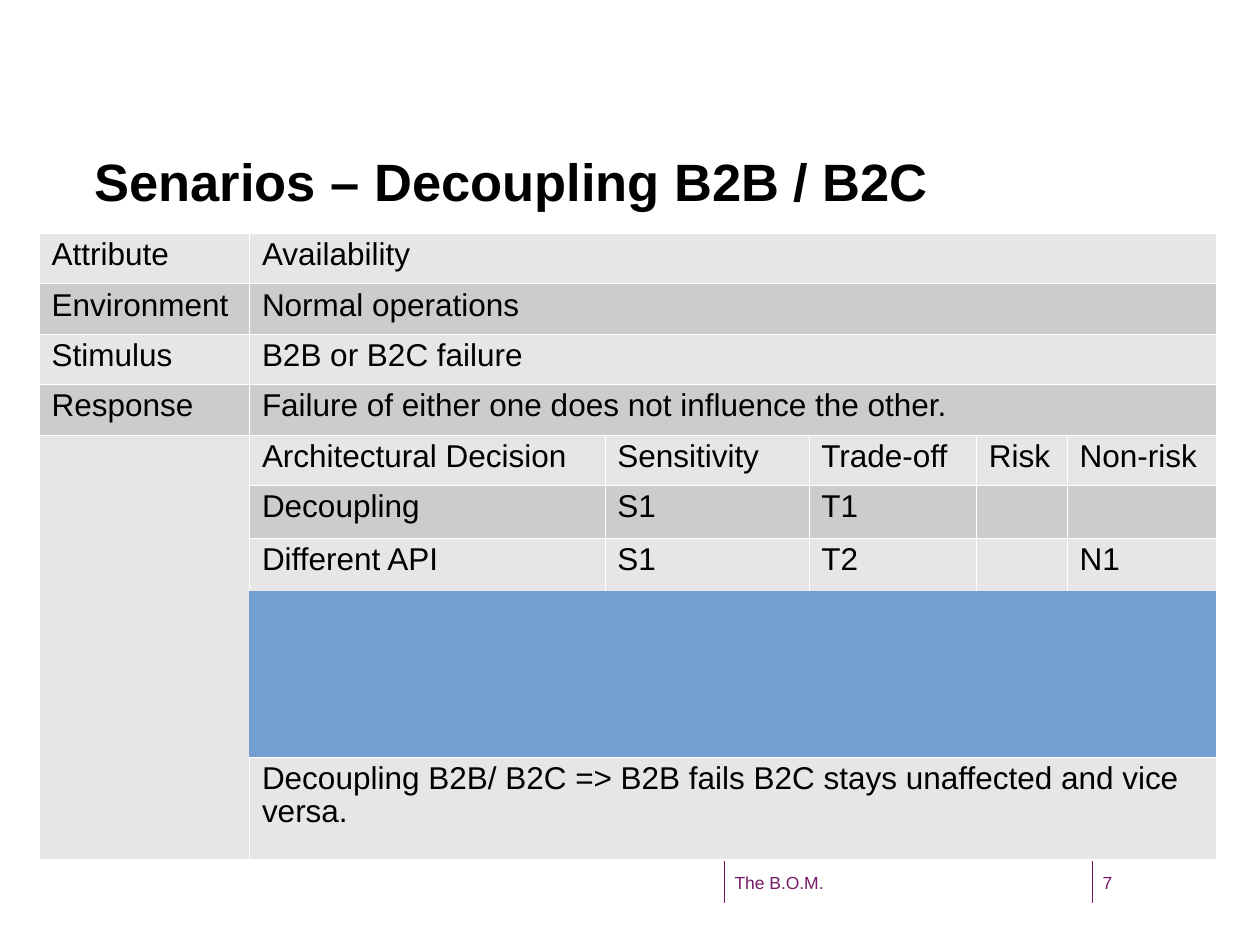
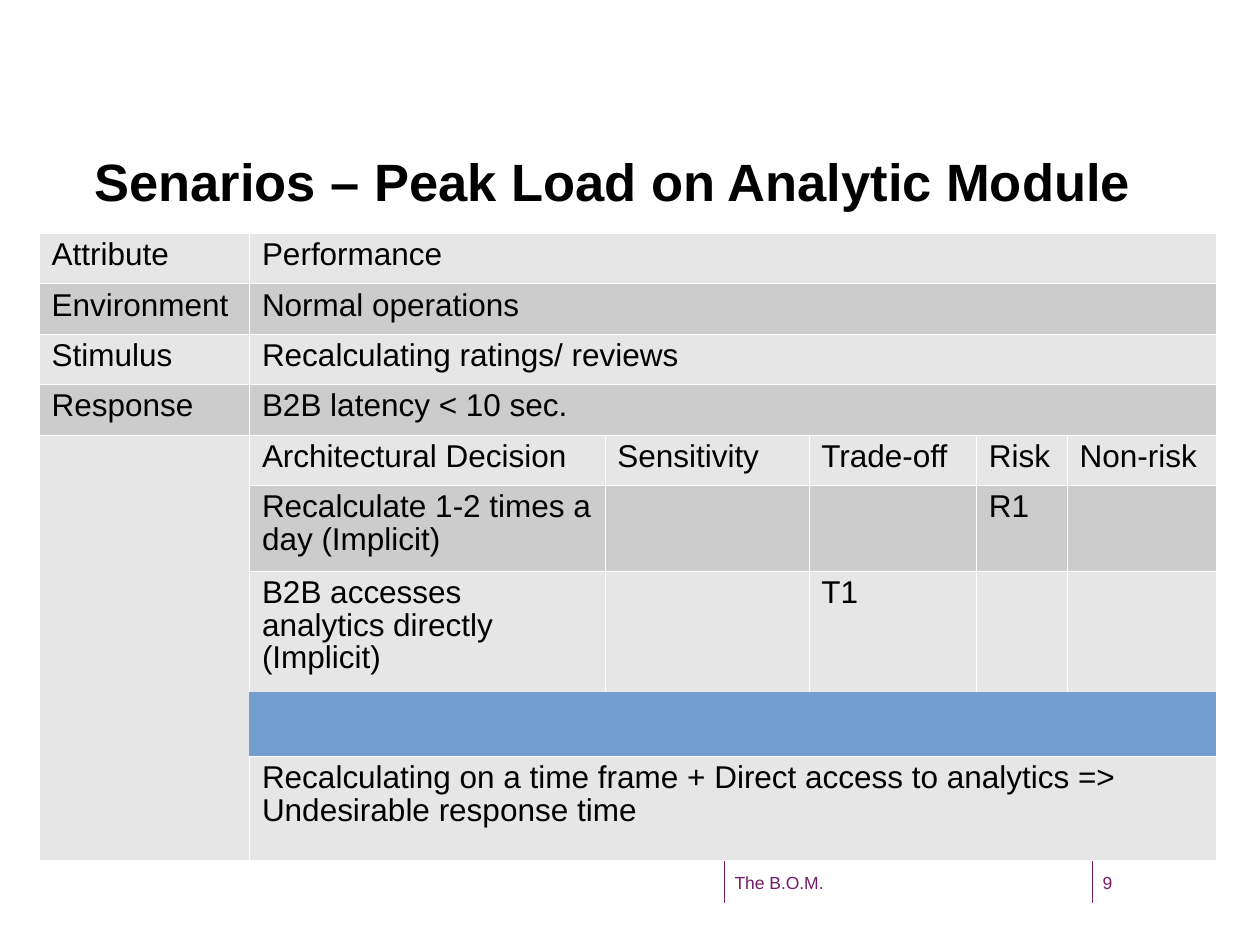
from lxml import etree
from pptx import Presentation
from pptx.dml.color import RGBColor
from pptx.enum.shapes import MSO_CONNECTOR
from pptx.enum.text import MSO_ANCHOR, MSO_AUTO_SIZE, PP_ALIGN
from pptx.oxml.ns import qn
from pptx.util import Emu, Pt

PX = 9144  # 100 px to the inch
STRAIGHT = MSO_CONNECTOR.STRAIGHT
TOP = MSO_ANCHOR.TOP
LEFT = PP_ALIGN.LEFT
NO_AUTOFIT = MSO_AUTO_SIZE.NONE

BLACK = RGBColor(0x00, 0x00, 0x00)
WHITE = RGBColor(0xFF, 0xFF, 0xFF)
PLUM = RGBColor(0x75, 0x1B, 0x68)
LIGHT = RGBColor(0xE6, 0xE6, 0xE6)
DARK = RGBColor(0xCC, 0xCC, 0xCC)
BLUE = RGBColor(0x72, 0x9F, 0xCF)

FONT = "Arial"
BORDER_WIDTH = Pt(0.06)
COLUMNS = [167, 282, 162, 133, 72, 118]
LABELS = ["Attribute", "Environment", "Stimulus", "Response"]
DECISION_HEADINGS = ["Architectural Decision", "Sensitivity", "Trade-off", "Risk", "Non-risk"]
DECISIONS_ROW, GAP_ROW, REASONING_ROW = 4, 7, 8

SCENARIOS = [
    dict(
        number="7", title="Senarios – Decoupling B2B / B2C", title_width=808,
        answers=["Availability", "Normal operations", "B2B or B2C failure",
                 "Failure of either one does not influence the other."],
        decisions=[["Decoupling", "S1", "T1", "", ""],
                   ["Different API", "S1", "T2", "", "N1"]],
        reasoning="Decoupling B2B/ B2C => B2B fails B2C stays unaffected and vice versa.",
        lower_heights=[42, 42, 132, 81],
    ),
    dict(
        number="9", title="Senarios – Peak Load on Analytic Module", title_width=838,
        answers=["Performance", "Normal operations", "Recalculating ratings/ reviews",
                 "B2B latency < 10 sec."],
        decisions=[["Recalculate 1-2 times a day (Implicit)", "", "", "R1", ""],
                   ["B2B accesses analytics directly (Implicit)", "", "T1", "", ""]],
        reasoning="Recalculating on a time frame + Direct access to analytics => "
                  "Undesirable response time",
        lower_heights=[68, 96, 51, 83],
    ),
]


def px(*lengths):
    return [Emu(length * PX) for length in lengths]


class ScenarioDeck:
    def __init__(self):
        self.deck = Presentation()
        self.deck.slide_width, self.deck.slide_height = px(1000, 750)
        self.page = None

    def add_page(self):
        self.page = self.deck.slides.add_slide(self.deck.slide_layouts[5])

    def add_text(self, frame, text, size, color, bold=False):
        para = frame.paragraphs[0]
        para.alignment = LEFT
        span = para.add_run()
        span.text = text
        span.font.name = FONT
        span.font.size = Pt(size)
        span.font.bold = bold
        span.font.color.rgb = color
        return para

    def plain_frame(self, box):
        """Gives the box a wrapping text frame without insets, filled from the top."""
        frame = box.text_frame
        frame.word_wrap = True
        frame.auto_size = NO_AUTOFIT
        frame.vertical_anchor = TOP
        frame.margin_left = frame.margin_top = frame.margin_right = frame.margin_bottom = 0
        return frame

    def title(self, text, width):
        box = self.page.shapes.title
        box.left, box.top, box.width, box.height = px(75, 118, width, 92)
        self.add_text(self.plain_frame(box), text, 30, BLACK, bold=True)

    def footer_item(self, text, left, width, height):
        """Adds a footer text with the upright rule to its left."""
        rule = self.page.shapes.add_connector(STRAIGHT, *px(left - 8, 683, left - 8, 717))
        rule.line.color.rgb = PLUM
        rule.line.width = Pt(0.75)
        etree.SubElement(rule._element.spPr, qn("a:effectLst"))
        box = self.page.shapes.add_textbox(*px(left, 692, width, height))
        self.add_text(self.plain_frame(box), text, 10, PLUM)

    def cell_style(self, cell, fill, border):
        """Fills the cell and draws its four borders, or none if border is None."""
        properties = cell._tc.get_or_add_tcPr()
        for side in ("lnL", "lnR", "lnT", "lnB"):
            line = etree.SubElement(properties, qn(f"a:{side}"), w=str(BORDER_WIDTH))
            if border is None:
                etree.SubElement(line, qn("a:noFill"))
            else:
                paint = etree.SubElement(line, qn("a:solidFill"))
                etree.SubElement(paint, qn("a:srgbClr"), val=str(border))
        cell.fill.solid()
        cell.fill.fore_color.rgb = fill

    def cell_text(self, cell, text):
        if text:
            self.add_text(cell.text_frame, text, 18, BLACK).line_spacing = 0.93

    def scenario_table(self, answers, decisions, reasoning, lower_heights):
        heights = [40] * (DECISIONS_ROW + 1) + lower_heights
        frame = self.page.shapes.add_table(
            len(heights), len(COLUMNS), *px(31, 185, sum(COLUMNS), sum(heights)))
        table = frame.table
        table.first_row = table.horz_banding = False
        for column, width in zip(table.columns, px(*COLUMNS)):
            column.width = width
        for row, height in zip(table.rows, px(*heights)):
            row.height = height

        last = len(COLUMNS) - 1
        for row in range(len(heights)):
            for column in range(len(COLUMNS)):
                fill, border = (DARK if row % 2 else LIGHT), WHITE
                if column == 0 and row >= DECISIONS_ROW:
                    fill = LIGHT
                elif row == GAP_ROW:
                    fill, border = BLUE, None
                self.cell_style(table.cell(row, column), fill, border)

        table.cell(DECISIONS_ROW, 0).merge(table.cell(REASONING_ROW, 0))
        for row in [*range(DECISIONS_ROW), REASONING_ROW]:
            table.cell(row, 1).merge(table.cell(row, last))

        for row, (label, answer) in enumerate(zip(LABELS, answers)):
            self.cell_text(table.cell(row, 0), label)
            self.cell_text(table.cell(row, 1), answer)
        for row, entries in enumerate([DECISION_HEADINGS, *decisions], DECISIONS_ROW):
            for column, entry in enumerate(entries, 1):
                self.cell_text(table.cell(row, column), entry)
        self.cell_text(table.cell(REASONING_ROW, 1), reasoning)


def main():
    scenarios = ScenarioDeck()
    for scenario in SCENARIOS:
        scenarios.add_page()
        scenarios.footer_item("The B.O.M.", 583, 267, 33)
        scenarios.footer_item(scenario["number"], 875, 58, 43)
        scenarios.title(scenario["title"], scenario["title_width"])
        scenarios.scenario_table(scenario["answers"], scenario["decisions"],
                                 scenario["reasoning"], scenario["lower_heights"])
    scenarios.deck.save("out.pptx")


if __name__ == "__main__":
    main()
